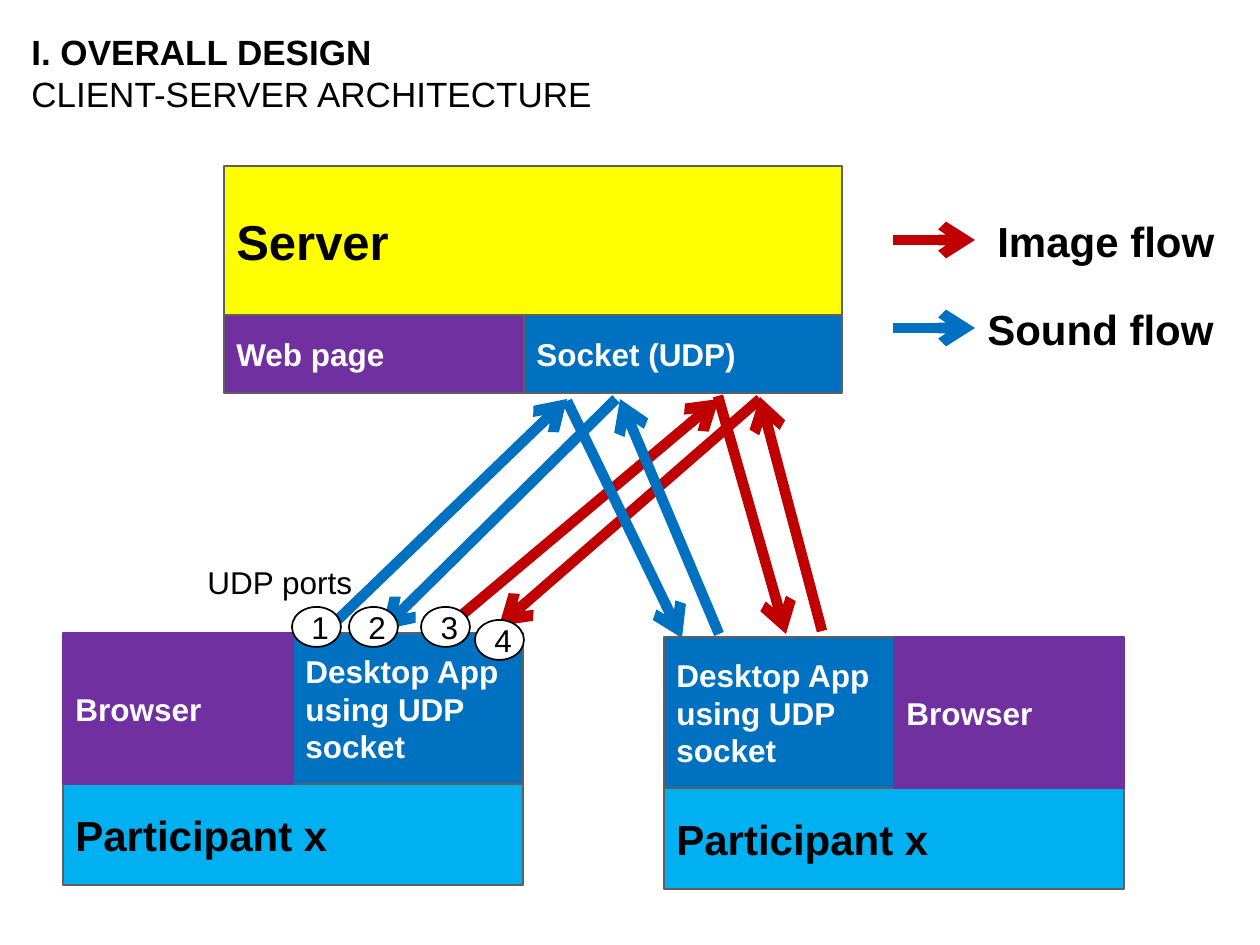
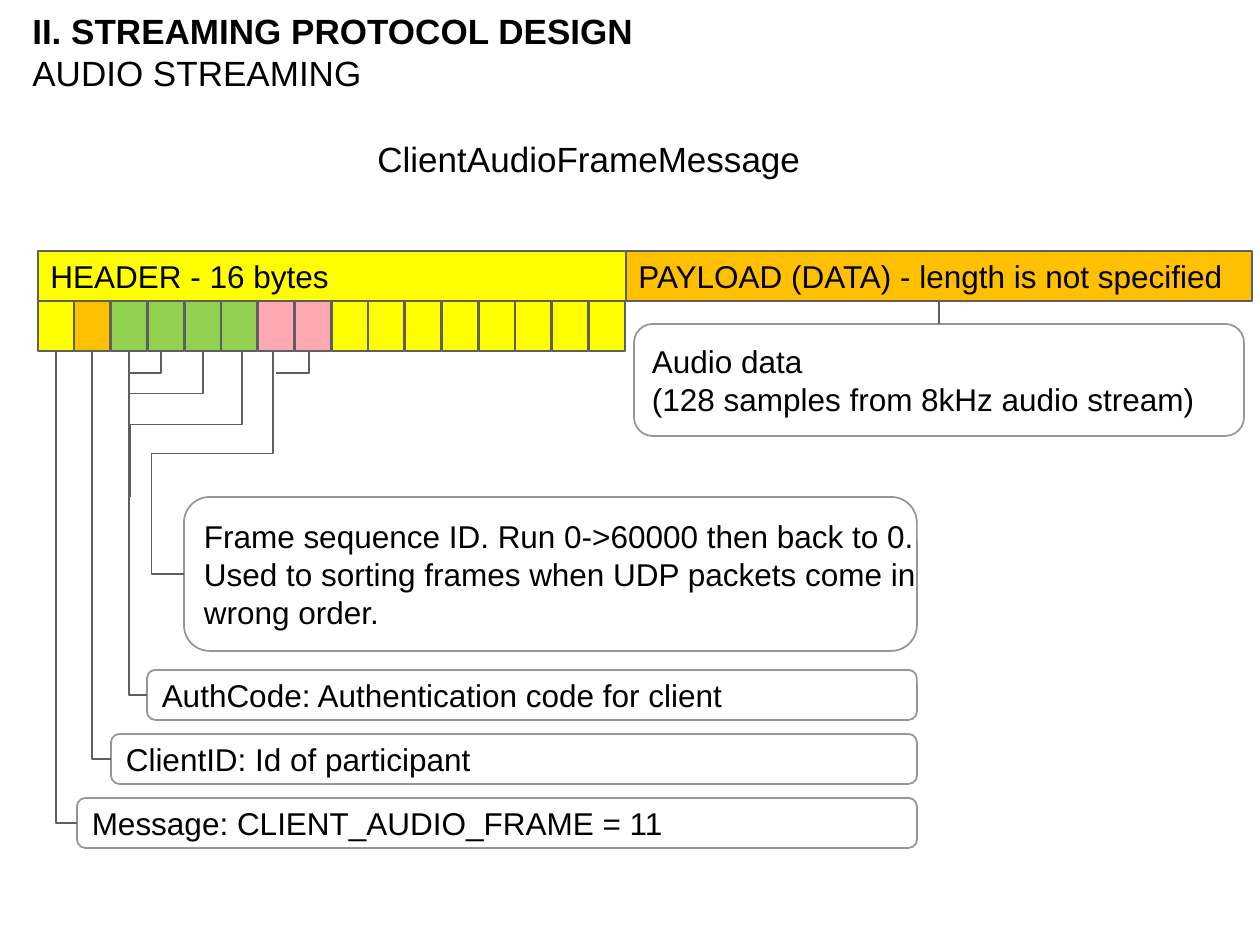
import dataclasses
import lxml.etree
import pptx
import pptx.dml.color
import pptx.enum.shapes
import pptx.enum.text
import pptx.oxml.ns
import pptx.util

SHAPE = pptx.enum.shapes.MSO_SHAPE
LINK = pptx.enum.shapes.MSO_CONNECTOR
ANCHOR = pptx.enum.text.MSO_ANCHOR
SCALE = 914400 / 126


@dataclasses.dataclass(frozen=True)
class Theme:
    font: str = "Arial"
    black: str = "000000"
    white: str = "FFFFFF"
    yellow: str = "FFFF00"
    orange: str = "FFC000"
    green: str = "92D050"
    pink: str = "FEA8B2"
    blue: str = "0070C0"
    sky: str = "00B0F0"
    purple: str = "7030A0"
    red: str = "C00000"
    edge: str = "5F5F5F"
    soft: str = "969696"
    body: int = 18
    title: int = 20
    label: int = 24
    head: int = 28
    thin: float = 0.75
    thick: int = 6


THEME = Theme()


@dataclasses.dataclass(frozen=True)
class Box:
    x: int
    y: int
    w: int
    h: int
    fill: str
    text: str = ""
    size: int = THEME.body
    hue: str = THEME.black
    bold: bool = False
    edge: str = THEME.edge
    width: float = THEME.thin
    form: SHAPE = SHAPE.RECTANGLE


@dataclasses.dataclass(frozen=True)
class Flow:
    x1: int
    y1: int
    x2: int
    y2: int
    hue: str


@dataclasses.dataclass(frozen=True)
class Elbow:
    x1: int
    y1: int
    x2: int
    y2: int
    turn: int = 90
    flip: bool = True
    kind: int = 2
    bends: tuple[int, ...] = ()


@dataclasses.dataclass
class Board:
    slide: pptx.slide.Slide
    pins: dict = dataclasses.field(default_factory=dict)


def px(count: float) -> pptx.util.Emu:
    return pptx.util.Emu(round(count * SCALE))


def tint(code: str) -> pptx.dml.color.RGBColor:
    return pptx.dml.color.RGBColor.from_string(code)


def find(node, tag: str):
    return node.find(pptx.oxml.ns.qn(tag))


def append(node, tag: str, **items: str) -> None:
    lxml.etree.SubElement(node, pptx.oxml.ns.qn(tag), **items)


def write(frame, text: str, *, size: int = THEME.body, hue: str = THEME.black,
          bold: bool = False, wrap: bool = False, anchor=ANCHOR.MIDDLE) -> None:
    frame.text = text
    frame.word_wrap = wrap
    frame.vertical_anchor = anchor
    for para in frame.paragraphs:
        para.alignment = pptx.enum.text.PP_ALIGN.LEFT
        for run in para.runs:
            run.font.name = THEME.font
            run.font.size = pptx.util.Pt(size)
            run.font.bold = bold
            run.font.color.rgb = tint(hue)


def draw_box(board: Board, box: Box) -> None:
    shape = board.slide.shapes.add_shape(box.form, px(box.x), px(box.y), px(box.w), px(box.h))
    shape.shadow.inherit = False
    shape.fill.solid()
    shape.fill.fore_color.rgb = tint(box.fill)
    shape.line.color.rgb = tint(box.edge)
    shape.line.width = pptx.util.Pt(box.width)
    if box.text:
        write(shape.text_frame, box.text, size=box.size, hue=box.hue, bold=box.bold)
    if box.form != SHAPE.OVAL:
        mid_x, mid_y = box.x + box.w / 2, box.y + box.h / 2
        sides = [(mid_x, box.y), (box.x, mid_y), (mid_x, box.y + box.h), (box.x + box.w, mid_y)]
        for site, point in enumerate(sides):
            board.pins[point] = (shape, site)


def draw_note(board: Board, x: int, y: int, w: int, h: int, text: str, **style):
    frame = board.slide.shapes.add_textbox(px(x), px(y), px(w), px(h)).text_frame
    write(frame, text, **style)
    return frame


def draw_title(board: Board, x: int, y: int, text: str) -> None:
    frame = draw_note(board, x, y, 1134, 81, text, size=THEME.title, bold=True, wrap=True)
    frame.paragraphs[1].runs[0].font.bold = False


def draw_link(board: Board, kind: LINK, ends: tuple[float, ...], hue: str = THEME.edge,
              width: float = THEME.thin, arrow: bool = False):
    link = board.slide.shapes.add_connector(kind, *map(px, ends))
    link.line.color.rgb = tint(hue)
    link.line.width = pptx.util.Pt(width)
    props = link._element.spPr
    if arrow:
        append(find(props, "a:ln"), "a:tailEnd", type="arrow")
    append(props, "a:effectLst")
    return link


def draw_line(board: Board, start: tuple[int, int], end: tuple[int, int], **style) -> None:
    link = draw_link(board, LINK.STRAIGHT, start + end, **style)
    if start in board.pins:
        link.begin_connect(*board.pins[start])
    if end in board.pins:
        link.end_connect(*board.pins[end])


def draw_flow(board: Board, flow: Flow) -> None:
    draw_line(board, (flow.x1, flow.y1), (flow.x2, flow.y2),
              hue=flow.hue, width=THEME.thick, arrow=True)


def draw_elbow(board: Board, elbow: Elbow) -> None:
    mid_x, mid_y = (elbow.x1 + elbow.x2) / 2, (elbow.y1 + elbow.y2) / 2
    half_w, half_h = abs(elbow.x2 - elbow.x1) / 2, abs(elbow.y2 - elbow.y1) / 2
    if elbow.turn % 180:
        half_w, half_h = half_h, half_w
    link = draw_link(board, LINK.ELBOW,
                     (mid_x - half_w, mid_y - half_h, mid_x + half_w, mid_y + half_h))
    props = link._element.spPr
    frame, form = find(props, "a:xfrm"), find(props, "a:prstGeom")
    frame.set("rot", str(elbow.turn * 60000))
    frame.set("flipV", str(int(elbow.flip)))
    form.set("prst", f"bentConnector{elbow.kind}")
    for count, bend in enumerate(elbow.bends, 1):
        name = "adj" if len(elbow.bends) == 1 else f"adj{count}"
        name = "adj1" if elbow.kind == 3 else name
        append(find(form, "a:avLst"), "a:gd", name=name, fmla=f"val {bend}")


def draw_client(board: Board, x: int, y: int, app_x: int, web_x: int) -> None:
    draw_box(board, Box(x, y + 151, 460, 101, THEME.sky, "Participant x", THEME.label, bold=True))
    draw_box(board, Box(app_x, y, 230, 151, THEME.blue, "Desktop App\nusing UDP\nsocket",
                        hue=THEME.white, bold=True))
    draw_box(board, Box(web_x, y, 230, 151, THEME.purple, "Browser",
                        hue=THEME.white, bold=True, edge=THEME.purple))


def build_design(board: Board) -> None:
    draw_title(board, 19, 32, "I. OVERALL DESIGN\nCLIENT-SERVER ARCHITECTURE")
    for box in (
        Box(224, 166, 618, 149, THEME.yellow, "Server", THEME.head, bold=True),
        Box(524, 315, 318, 78, THEME.blue, "Socket (UDP)", hue=THEME.white, bold=True),
        Box(224, 315, 300, 78, THEME.purple, "Web page", hue=THEME.white, bold=True),
    ):
        draw_box(board, box)
    draw_client(board, 63, 633, app_x=293, web_x=63)

    for y, x, text, hue in ((240, 985, "Image flow", THEME.red),
                            (328, 975, "Sound flow", THEME.blue)):
        draw_flow(board, Flow(893, y, 975, y, hue))
        draw_note(board, x, y - 31, 262, 63, text, size=THEME.label, bold=True,
                  wrap=True, anchor=ANCHOR.TOP)

    for flow in (
        Flow(444, 630, 719, 399, THEME.red),
        Flow(718, 396, 786, 634, THEME.red),
        Flow(822, 631, 760, 397, THEME.red),
        Flow(760, 399, 499, 626, THEME.red),
        Flow(323, 634, 567, 399, THEME.blue),
        Flow(567, 401, 682, 638, THEME.blue),
        Flow(616, 399, 382, 630, THEME.blue),
        Flow(719, 634, 620, 399, THEME.blue),
    ):
        draw_flow(board, flow)

    ports = ((292, 607), (349, 607), (421, 607), (475, 620))
    for port, (x, y) in enumerate(ports, 1):
        draw_box(board, Box(x, y, 49, 40, THEME.white, str(port), edge=THEME.black,
                            width=1, form=SHAPE.OVAL))
    draw_note(board, 195, 557, 170, 50, "UDP ports", anchor=ANCHOR.TOP)
    draw_client(board, 664, 637, app_x=664, web_x=894)


def build_audio(board: Board) -> None:
    top, bytes_top, base = 251, 301, 351
    draw_box(board, Box(38, top, 588, 50, THEME.yellow, "HEADER - 16 bytes"))
    draw_box(board, Box(626, top, 626, 50, THEME.orange,
                        "PAYLOAD (DATA) - length is not specified"))
    fills = ([THEME.yellow, THEME.orange] + [THEME.green] * 4
             + [THEME.pink] * 2 + [THEME.yellow] * 8)
    for slot, fill in enumerate(fills):
        draw_box(board, Box(38 + slot * 147 // 4, bytes_top, 36, 50, fill))

    right = 917
    cards = (
        (77, 798, right - 77, 50, "Message: CLIENT_AUDIO_FRAME = 11"),
        (111, 734, right - 111, 50, "ClientID: Id of participant"),
        (147, 670, right - 147, 50, "AuthCode: Authentication code for client"),
        (184, 497, right - 184, 154, "Frame sequence ID. Run 0->60000 then back to 0.\n"
         "Used to sorting frames when UDP packets come in\nwrong order."),
        (634, 324, 610, 112, "Audio data\n(128 samples from 8kHz audio stream)"),
    )
    for x, y, w, h, text in cards:
        draw_box(board, Box(x, y, w, h, THEME.white, text, edge=THEME.soft, width=1,
                            form=SHAPE.ROUNDED_RECTANGLE))

    for elbow in (
        Elbow(56, base, 77, 823),
        Elbow(92, base, 111, 759),
        Elbow(129, base, 147, 695),
        Elbow(129, 373, 161, base, turn=0),
        Elbow(129, 436, 203, base, turn=270, flip=False, kind=3, bends=(50000,)),
        Elbow(130, 497, 242, base, turn=270, flip=False, kind=3, bends=(49900,)),
        Elbow(273, base, 184, 574, flip=False, kind=4, bends=(46100, 136800)),
        Elbow(276, 373, 309, base, turn=0),
    ):
        draw_elbow(board, elbow)
    draw_line(board, (939, 324), (939, bytes_top))

    draw_note(board, 365, 131, 484, 55, "ClientAudioFrameMessage", size=THEME.title,
              wrap=True, anchor=ANCHOR.TOP)
    draw_title(board, 20, 11, "II. STREAMING PROTOCOL DESIGN\nAUDIO STREAMING")


def main() -> None:
    deck = pptx.Presentation()
    deck.slide_width, deck.slide_height = px(1260), px(945)
    for build in (build_design, build_audio):
        build(Board(deck.slides.add_slide(deck.slide_layouts[6])))
    deck.save("out.pptx")


if __name__ == "__main__":
    main()
